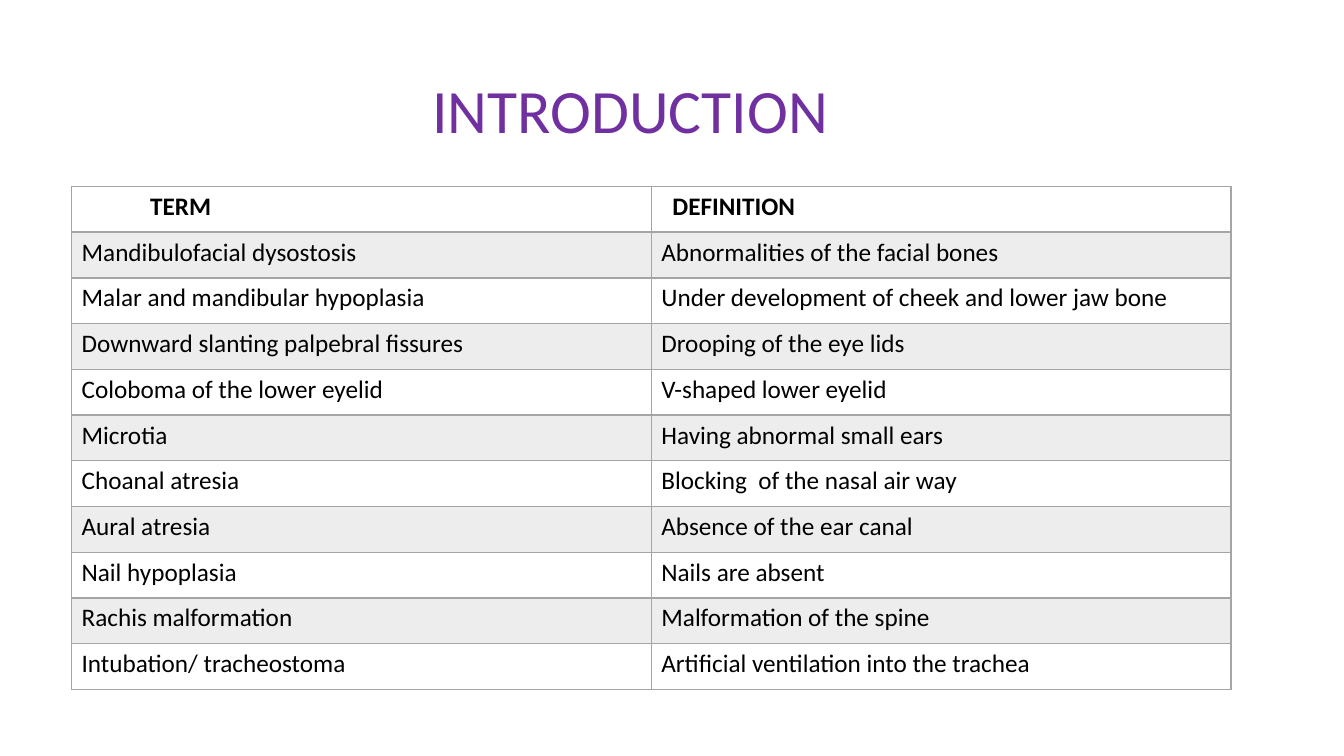
"""Build the introduction slide with its table of terms and definitions."""
import dataclasses

import pptx
import pptx.dml.color
import pptx.enum.text
import pptx.oxml
import pptx.oxml.ns
import pptx.util

PX = 9144
FONT = "Calibri"
PURPLE, BLACK, GREY = "7030A0", "000000", "A5A5A5"
COLUMNS = 2
TABLE_LEFT, TABLE_TOP, TABLE_WIDTH, TABLE_HEIGHT = 71, 185, 1150, 499
CELL_MARGIN = 10
HEADER_MARGINS = (78, 21)


@dataclasses.dataclass(frozen=True)
class Entry:
    """One row of the table."""
    term: str
    definition: str


ENTRIES = [
    Entry("TERM", "DEFINITION"),
    Entry("Mandibulofacial dysostosis", "Abnormalities of the facial bones"),
    Entry("Malar and mandibular hypoplasia", "Under development of cheek and lower jaw bone"),
    Entry("Downward slanting palpebral fissures", "Drooping of the eye lids"),
    Entry("Coloboma of the lower eyelid", "V-shaped lower eyelid"),
    Entry("Microtia", "Having abnormal small ears"),
    Entry("Choanal atresia", "Blocking  of the nasal air way"),
    Entry("Aural atresia", "Absence of the ear canal"),
    Entry("Nail hypoplasia", "Nails are absent"),
    Entry("Rachis malformation", "Malformation of the spine"),
    Entry("Intubation/ tracheostoma", "Artificial ventilation into the trachea"),
]


def rgb(color: str) -> pptx.dml.color.RGBColor:
    """Turn a hex string into a colour."""
    return pptx.dml.color.RGBColor.from_string(color)


def set_text(tf, text: str, size: int, color: str, bold: bool = False) -> None:
    """Write one paragraph and format its run."""
    tf.text = text
    r = tf.paragraphs[0].runs[0]
    r.font.name = FONT
    r.font.size = pptx.util.Pt(size)
    r.font.bold = bold
    r.font.color.rgb = rgb(color)


def add_title(s) -> None:
    """Add the slide title."""
    sp = s.shapes.add_textbox(92 * PX, 40 * PX, 1150 * PX, 145 * PX)
    tf = sp.text_frame
    tf.word_wrap = True
    tf.vertical_anchor = pptx.enum.text.MSO_ANCHOR.MIDDLE
    tf.margin_left = 337 * PX
    set_text(tf, "INTRODUCTION", 44, PURPLE)
    tf.paragraphs[0].line_spacing = 0.9


def set_borders(cell, top: int, bottom: int) -> None:
    """Outline a cell; top and bottom widths are in points."""
    tc_pr = cell._tc.get_or_add_tcPr()
    for side, width in (("L", 1), ("R", 1), ("T", top), ("B", bottom)):
        tc_pr.append(pptx.oxml.parse_xml(
            f'<a:ln{side} {pptx.oxml.ns.nsdecls("a")} w="{pptx.util.Pt(width)}">'
            f'<a:solidFill><a:srgbClr val="{GREY}"/></a:solidFill></a:ln{side}>'))


def shade(cell) -> None:
    """Fill a cell with grey at 20 % opacity."""
    cell.fill.solid()
    cell.fill.fore_color.rgb = rgb(GREY)
    color = cell._tc.tcPr.find(pptx.oxml.ns.qn("a:solidFill"))[0]
    color.append(pptx.oxml.parse_xml(f'<a:alpha {pptx.oxml.ns.nsdecls("a")} val="20000"/>'))


def add_terms(s, entries: list[Entry]) -> None:
    """Add the table of terms and definitions."""
    table = s.shapes.add_table(len(entries), COLUMNS, TABLE_LEFT * PX, TABLE_TOP * PX,
                               TABLE_WIDTH * PX, TABLE_HEIGHT * PX).table
    table.horz_banding = False
    for i, entry in enumerate(entries):
        header = i == 0
        table.rows[i].height = TABLE_HEIGHT * PX // len(entries)
        for j, text in enumerate((entry.term, entry.definition)):
            cell = table.cell(i, j)
            set_text(cell.text_frame, text, 18, BLACK, header)
            cell.margin_left = (HEADER_MARGINS[j] if header else CELL_MARGIN) * PX
            set_borders(cell, top=2 if i == 1 else 1, bottom=2 if header else 1)
            if i % 2:
                shade(cell)
            else:
                cell.fill.background()


def main() -> None:
    """Build and save the presentation."""
    prs = pptx.Presentation()
    prs.slide_width, prs.slide_height = 1333 * PX, 750 * PX
    s = prs.slides.add_slide(prs.slide_layouts[6])
    add_title(s)
    add_terms(s, ENTRIES)
    prs.save("out.pptx")


if __name__ == "__main__":
    main()
